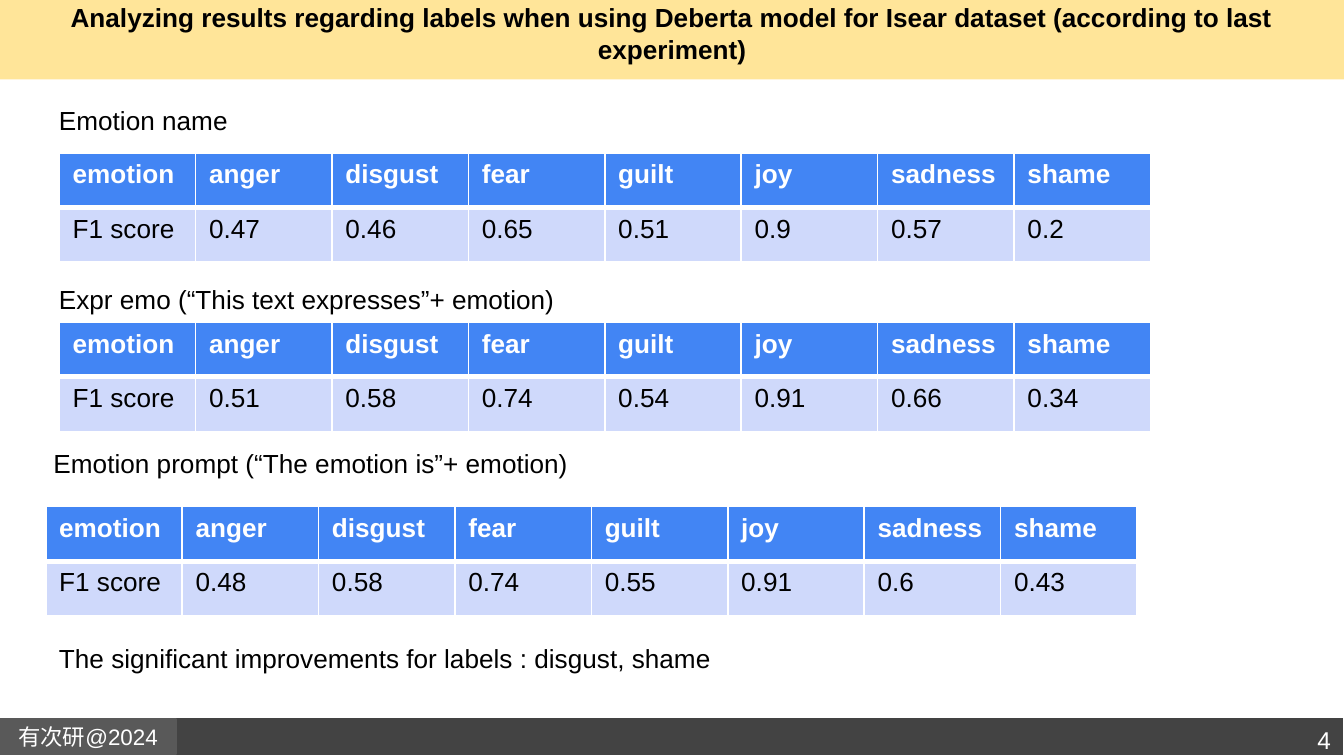
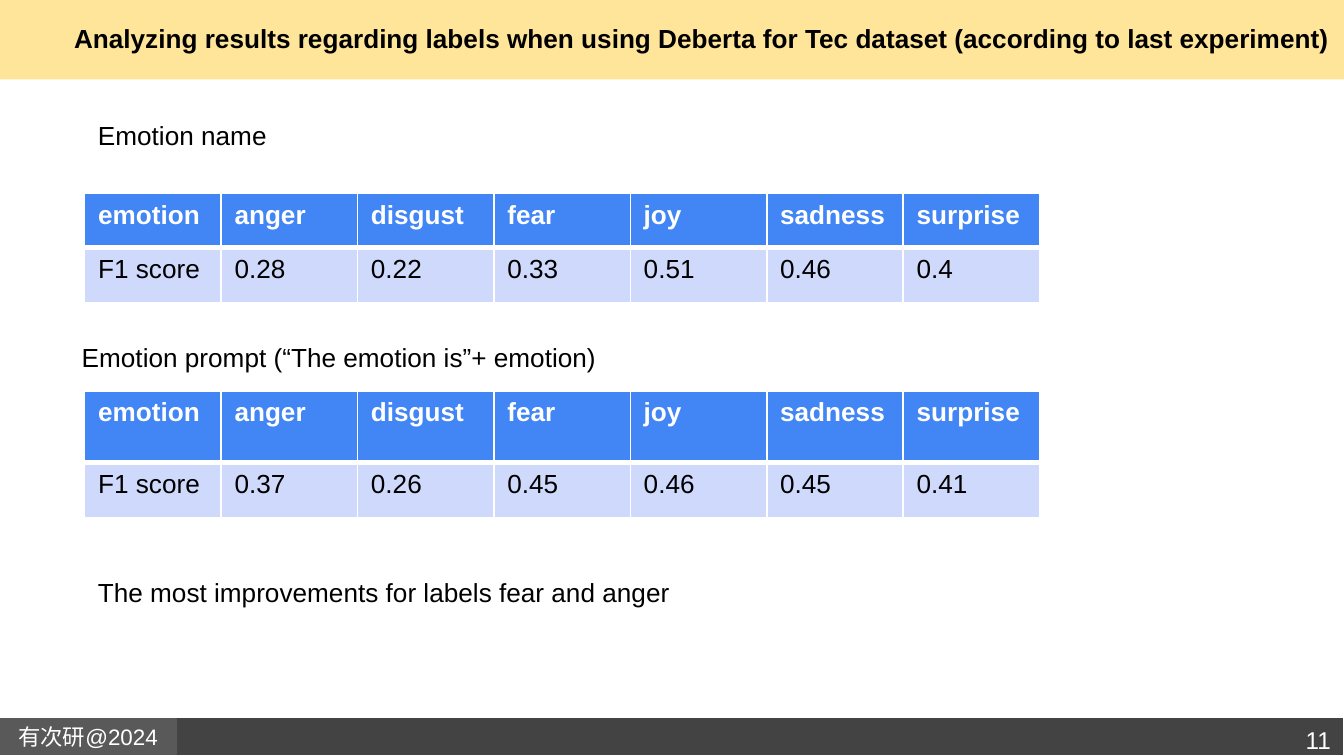
import pptx
import pptx.util
import pptx.dml.color
import pptx.enum.shapes
import pptx.enum.text
from lxml import etree

RGB = pptx.dml.color.RGBColor
BLACK = RGB(0x00, 0x00, 0x00)
WHITE = RGB(0xFF, 0xFF, 0xFF)
SAND = RGB(0xFF, 0xE5, 0x99)
DARK = RGB(0x43, 0x43, 0x43)
GREY = RGB(0x59, 0x59, 0x59)
BLUE = RGB(0x42, 0x85, 0xF4)
PALE = RGB(0xCF, 0xD9, 0xFB)

FONT = "Arial"
PX = 4572  # EMU per px, 200 px to the inch
COL, ROW = 203, 81
LEFT, CENTER, RIGHT = (pptx.enum.text.PP_ALIGN.LEFT,
                       pptx.enum.text.PP_ALIGN.CENTER,
                       pptx.enum.text.PP_ALIGN.RIGHT)
MIDDLE = pptx.enum.text.MSO_ANCHOR.MIDDLE
A = "http://schemas.openxmlformats.org/drawingml/2006/main"

ISEAR = ["anger", "disgust", "fear", "guilt", "joy", "sadness", "shame"]
TEC = ["anger", "disgust", "fear", "joy", "sadness", "surprise"]


def emu(*lengths):
    return [n * PX for n in lengths]


class Deck:
    def __init__(self):
        self.prs = pptx.Presentation()
        self.prs.slide_width, self.prs.slide_height = emu(2000, 1125)
        self.s = None

    def slide(self, number):
        """Start a slide with the title band, footer and page number."""
        self.s = self.prs.slides.add_slide(self.prs.slide_layouts[6])
        self.band(0, 0, 2000, 118, SAND)
        self.band(0, 1068, 2000, 56, DARK, WHITE)
        sp = self.band(0, 1070, 262, 52, GREY, GREY)
        self.inset(sp.text_frame)
        sp.text_frame.vertical_anchor = MIDDLE
        self.run(sp.text_frame, "有次研@2024", 12, WHITE, align=CENTER)
        tf = self.text(1790, 1060, 210, 74, str(number), 13, WHITE,
                       align=RIGHT, grow=False)
        self.inset(tf)

    def band(self, x, y, w, h, fill, line=None):
        sp = self.s.shapes.add_shape(
            pptx.enum.shapes.MSO_SHAPE.RECTANGLE, *emu(x, y, w, h))
        sp.shadow.inherit = False
        sp.fill.solid()
        sp.fill.fore_color.rgb = fill
        if line is None:
            sp.line.fill.background()
        else:
            sp.line.color.rgb = line
            sp.line.width = pptx.util.Pt(0.75)
        return sp

    def inset(self, tf):
        tf.margin_left = tf.margin_right = 20 * PX
        tf.margin_top = tf.margin_bottom = 20 * PX

    def run(self, tf, text, size=14, color=BLACK, bold=False, align=LEFT):
        p = tf.paragraphs[0]
        p.alignment = align
        r = p.add_run()
        r.text = text
        r.font.name = FONT
        r.font.size = pptx.util.Pt(size)
        r.font.bold = bold
        r.font.color.rgb = color

    def text(self, x, y, w, h, text, size=14, color=BLACK, bold=False,
             align=LEFT, wrap=True, grow=True):
        tf = self.s.shapes.add_textbox(*emu(x, y, w, h)).text_frame
        tf.word_wrap = wrap
        if grow:
            tf.auto_size = pptx.enum.text.MSO_AUTO_SIZE.SHAPE_TO_FIT_TEXT
        self.run(tf, text, size, color, bold, align)
        return tf

    def border(self, cell, side, width):
        tcPr = cell._tc.get_or_add_tcPr()
        ln = etree.SubElement(tcPr, f"{{{A}}}ln{side}",
                              w=str(pptx.util.Pt(width)))
        fill = etree.SubElement(ln, f"{{{A}}}solidFill")
        etree.SubElement(fill, f"{{{A}}}srgbClr", val=str(WHITE))

    def scores(self, x, y, labels, values, header=ROW):
        """Table of one F1 score per emotion label."""
        rows = [["emotion"] + labels, ["F1 score"] + values.split()]
        n = len(rows[0])
        table = self.s.shapes.add_table(
            2, n, *emu(x, y, n * COL, header + ROW)).table
        for col in table.columns:
            col.width = COL * PX
        table.rows[0].height, table.rows[1].height = emu(header, ROW)
        # fill, text colour, bold, border widths
        styles = [(BLUE, WHITE, True, dict(L=1, R=1, T=1, B=3)),
                  (PALE, BLACK, False, dict(L=1, R=1, T=3, B=1))]
        for i, (fill, color, bold, sides) in enumerate(styles):
            for j, text in enumerate(rows[i]):
                cell = table.cell(i, j)
                for side, width in sides.items():
                    self.border(cell, side, width)
                cell.fill.solid()
                cell.fill.fore_color.rgb = fill
                self.run(cell.text_frame, text, 14, color, bold)


def main():
    d = Deck()

    # Isear results
    d.slide(4)
    tf = d.text(68, 0, 1864, 98,
                "Analyzing results regarding labels when using Deberta model "
                "for Isear dataset (according to last experiment)",
                bold=True, align=CENTER, grow=False)
    d.inset(tf)
    tf.vertical_anchor = MIDDLE
    d.text(68, 146, 1840, 68, "Emotion name")
    d.scores(88, 228, ISEAR, "0.47 0.46 0.65 0.51 0.9 0.57 0.2")
    d.text(68, 412, 780, 114, "Expr emo (“This text expresses”+ emotion)",
           wrap=False)
    d.scores(88, 480, ISEAR, "0.51 0.58 0.74 0.54 0.91 0.66 0.34")
    d.text(60, 656, 820, 68, "Emotion prompt (“The emotion is”+ emotion)",
           wrap=False)
    d.scores(68, 754, ISEAR, "0.48 0.58 0.74 0.55 0.91 0.6 0.43")
    d.text(68, 946, 1262, 68,
           "The significant improvements for labels : disgust, shame")

    # Tec results
    d.slide(11)
    d.text(62, 24, 1966, 68,
           "Analyzing results regarding labels when using Deberta for Tec "
           "dataset (according to last experiment)",
           bold=True, align=CENTER)
    d.text(126, 168, 522, 68, "Emotion name")
    d.scores(126, 288, TEC, "0.28 0.22 0.33 0.51 0.46 0.4")
    d.text(102, 498, 820, 114, "Emotion prompt (“The emotion is”+ emotion)",
           wrap=False)
    d.scores(126, 582, TEC, "0.37 0.26 0.45 0.46 0.45 0.41", header=107)
    d.text(126, 848, 894, 68,
           "The most improvements for labels fear and anger", wrap=False)

    d.prs.save("out.pptx")


if __name__ == "__main__":
    main()
